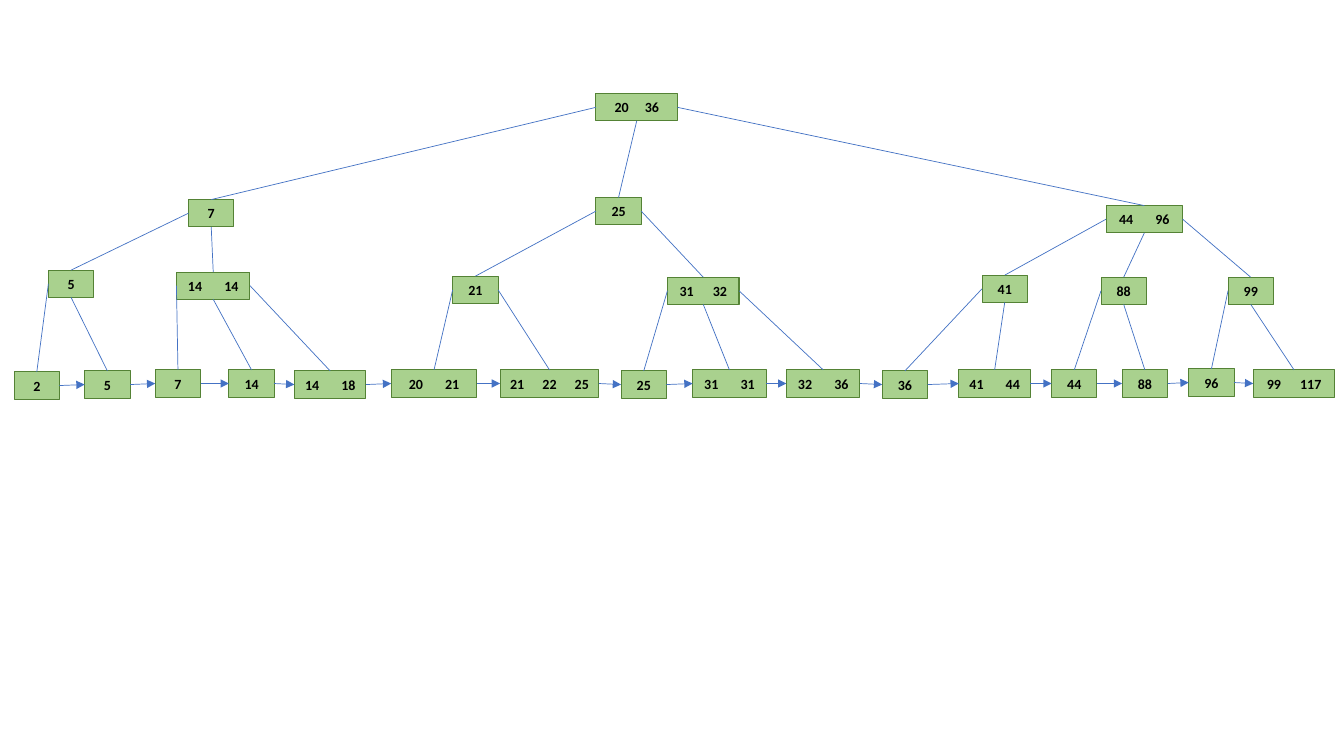
from dataclasses import dataclass

from lxml import etree
from pptx import Presentation
from pptx.dml.color import RGBColor
from pptx.enum.shapes import MSO_CONNECTOR, MSO_SHAPE
from pptx.enum.text import MSO_ANCHOR, MSO_AUTO_SIZE, PP_ALIGN
from pptx.oxml.ns import qn
from pptx.util import Inches, Pt

RECTANGLE = MSO_SHAPE.RECTANGLE
STRAIGHT = MSO_CONNECTOR.STRAIGHT
CENTER, LEFT_ALIGNED = PP_ALIGN.CENTER, PP_ALIGN.LEFT
MIDDLE = MSO_ANCHOR.MIDDLE
GROW = MSO_AUTO_SIZE.SHAPE_TO_FIT_TEXT
TOP, LEFT, BOTTOM, RIGHT = range(4)


@dataclass(frozen=True)
class Theme:
    node_fill: RGBColor = RGBColor(0xA9, 0xD1, 0x8E)
    node_line: RGBColor = RGBColor(0x54, 0x82, 0x35)
    link: RGBColor = RGBColor(0x44, 0x72, 0xC4)
    text: RGBColor = RGBColor(0, 0, 0)
    font: str = "Calibri"
    key_size: Pt = Pt(10)
    node_line_width: Pt = Pt(0.75)
    link_width: Pt = Pt(0.5)


@dataclass(frozen=True)
class Node:
    keys: str
    left: float
    top: float
    width: float = 0.45
    pitch: float = 0.36
    children: tuple = ()
    exits: tuple = (LEFT, BOTTOM, RIGHT)


THEME = Theme()
NODE_HEIGHT = 0.27
DIGIT_WIDTH = 0.07

LOW_BRANCH = Node("7", 1.73, 1.05, children=(
    Node("5", 0.34, 1.75, children=(
        Node("2", 0, 2.76),
        Node("5", 0.7, 2.75),
    )),
    Node("14 14", 1.61, 1.77, 0.73, children=(
        Node("7", 1.4, 2.74),
        Node("14", 2.13, 2.74),
        Node("14 18", 2.78, 2.75, 0.71),
    )),
))
MIDDLE_BRANCH = Node("25", 5.77, 1.03, exits=(LEFT, RIGHT), children=(
    Node("21", 4.35, 1.81, exits=(LEFT, RIGHT), children=(
        Node("20 21", 3.74, 2.74, 0.85),
        Node("21 22 25", 4.82, 2.74, 0.98, 0.32),
    )),
    Node("31 32", 6.48, 1.82, 0.71, 0.33, children=(
        Node("25", 6.02, 2.75),
        Node("31 31", 6.73, 2.74, 0.73),
        Node("32 36", 7.66, 2.74, 0.73),
    )),
))
HIGH_BRANCH = Node("44 96", 10.83, 1.11, 0.76, children=(
    Node("41", 9.6, 1.8, children=(
        Node("36", 8.61, 2.75),
        Node("41 44", 9.37, 2.74, 0.71),
    )),
    Node("88", 10.78, 1.82, children=(
        Node("44", 10.29, 2.74),
        Node("88", 10.99, 2.74),
    )),
    Node("99", 12.04, 1.82, children=(
        Node("96", 11.65, 2.73),
        Node("99 117", 12.29, 2.74, 0.81, 0.33),
    )),
))
ROOT = Node("20 36", 5.77, 0, 0.81, 0.3,
            children=(LOW_BRANCH, MIDDLE_BRANCH, HIGH_BRANCH))


def apply_format(target, values):
    for name, value in values.items():
        setattr(target, name, value)


def space_keys(frame, para, keys, node):
    key_span = node.pitch * (len(keys) - 1) + DIGIT_WIDTH * len(keys[-1])
    frame.margin_left = Inches((node.width - key_span) / 2)
    para.alignment = LEFT_ALIGNED
    properties = para._p.get_or_add_pPr()
    tabs = etree.SubElement(properties, qn("a:tabLst"))
    for index in range(1, len(keys)):
        etree.SubElement(tabs, qn("a:tab"),
                         pos=str(Inches(node.pitch * index)), algn="l")


def add_node(page, left, top, node):
    box = page.shapes.add_shape(
        RECTANGLE, Inches(left + node.left), Inches(top + node.top),
        Inches(node.width), Inches(NODE_HEIGHT))
    box.shadow.inherit = False
    box.fill.solid()
    box.fill.fore_color.rgb = THEME.node_fill
    box.line.color.rgb = THEME.node_line
    box.line.width = THEME.node_line_width

    frame = box.text_frame
    apply_format(frame, {
        "word_wrap": True, "auto_size": GROW, "vertical_anchor": MIDDLE,
        "margin_left": 0, "margin_right": 0,
        "margin_top": Inches(0.05), "margin_bottom": Inches(0.05),
    })
    para = frame.paragraphs[0]
    para.alignment = CENTER
    keys = node.keys.split()
    if len(keys) > 1:
        space_keys(frame, para, keys, node)
    span = para.add_run()
    span.text = "\t".join(keys)
    apply_format(span.font, {
        "name": THEME.font, "size": THEME.key_size, "bold": True})
    span.font.color.rgb = THEME.text
    return box


def add_link(page, start, start_side, end, end_side, arrow=False):
    link = page.shapes.add_connector(STRAIGHT, 0, 0, 0, 0)
    link.begin_connect(start, start_side)
    link.end_connect(end, end_side)
    link.line.color.rgb = THEME.link
    link.line.width = THEME.link_width
    properties = link._element.spPr
    if arrow:
        etree.SubElement(properties.find(qn("a:ln")),
                         qn("a:tailEnd"), type="triangle")
    etree.SubElement(properties, qn("a:effectLst"))


def add_subtree(page, left, top, node):
    box = add_node(page, left, top, node)
    if not node.children:
        return box, [box]
    leaves = []
    for child, side in zip(node.children, node.exits):
        child_box, child_leaves = add_subtree(page, left, top, child)
        add_link(page, box, side, child_box, TOP)
        leaves += child_leaves
    return box, leaves


def add_tree(page, left, top, root):
    leaves = add_subtree(page, left, top, root)[1]
    for leaf, following in zip(leaves, leaves[1:]):
        add_link(page, leaf, RIGHT, following, LEFT, arrow=True)


def main():
    deck = Presentation()
    deck.slide_width, deck.slide_height = Inches(13.33), Inches(7.5)
    page = deck.slides.add_slide(deck.slide_layouts[6])
    add_tree(page, 0.14, 0.93, ROOT)
    deck.save("out.pptx")


if __name__ == "__main__":
    main()
